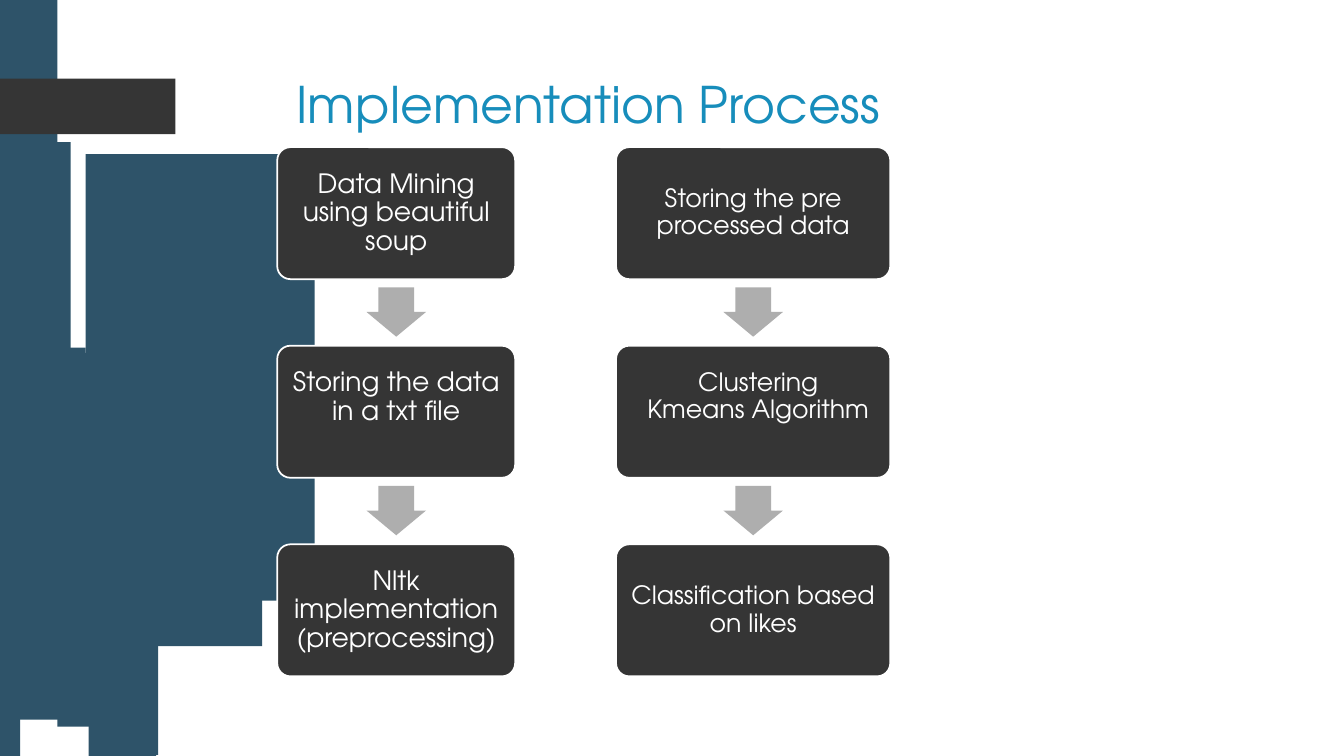
from pptx import Presentation
from pptx.dml.color import RGBColor
from pptx.enum.shapes import MSO_SHAPE
from pptx.enum.text import MSO_ANCHOR, PP_ALIGN
from pptx.util import Inches, Pt

FONT = "TeX Gyre Adventor"
BLUE, DARK, GREY, WHITE, TITLE = "2E5369", "353535", "AEAEAE", "FFFFFF", "178DBB"
TOP, STEP, HIGH = 1.46, 1.97, 1.31
ARROW_W, ARROW_H, ARROW_GAP = 0.59, 0.49, 0.09

BARS = [
    (0, 2.82, 0.11, 0.68), (0.14, 3.45, 0.71, 2.54), (0.88, 5.96, 0.67, 1.54),
    (1.05, 7.11, 0.19, 0.39), (0.11, 3.5, 0.9, 3.64), (0.85, 1.53, 2.27, 4.43),
    (1.01, 7.14, 0.18, 0.36), (0.93, 6.83, 0.26, 0.67), (0.03, 0, 0.54, 4.81),
    (0.6, 4.72, 0.46, 1.73), (1.1, 6.41, 0.47, 1.08), (0.57, 4.77, 0.6, 2.44),
    (0.51, 1.41, 0.19, 3.31), (1.22, 7.19, 0.15, 0.31), (0.55, 4.49, 0.09, 0.56),
    (1.06, 3.44, 1.54, 2.97), (1.17, 7.22, 0.13, 0.28), (1.06, 6.45, 0.15, 0.74),
    (1.06, 6.31, 0.04, 0.25), (1.1, 6.91, 0.23, 0.58), (0, 0, 0.2, 7.5),
]

# Each step: lines of text, extra bottom inset, extra left inset
FLOWS = [
    (2.75, 2.36, 19, 0.12, [
        (["Data Mining using beautiful soup"], 0, 0),
        (["Storing the data in a txt file"], 0.28, 0),
        (["Nltk implementation", "(preprocessing)"], 0, 0),
    ]),
    (6.11, 2.72, 18, 0.11, [
        (["Storing the pre processed data"], 0, 0),
        (["Clustering", "Kmeans Algorithm"], 0.3, 0.1),
        (["Classification based on likes"], 0, 0),
    ]),
]


def color(code):
    """Turn a hex string into a colour."""
    return RGBColor.from_string(code)


def add_form(slide, kind, area, fill):
    """Add a flat preset shape without outline."""
    form = slide.shapes.add_shape(kind, *map(Inches, area))
    form.shadow.inherit = False
    form.fill.solid()
    form.fill.fore_color.rgb = color(fill)
    form.line.fill.background()
    return form


def style(para, size, code):
    """Set the font of a paragraph."""
    para.font.name = FONT
    para.font.size = Pt(size)
    para.font.color.rgb = color(code)


def add_title(slide, text):
    """Place and format the title."""
    title = slide.shapes.title
    title.left, title.top = Inches(2.84), Inches(0.68)
    title.width, title.height = Inches(9.75), Inches(1.4)
    frame = title.text_frame
    frame.text = text
    frame.vertical_anchor = MSO_ANCHOR.TOP
    frame.paragraphs[0].alignment = PP_ALIGN.LEFT
    style(frame.paragraphs[0], 36, TITLE)


def add_step(slide, area, lines, size, inset, lift, shift):
    """Add a rounded box with centred text."""
    box = add_form(slide, MSO_SHAPE.ROUNDED_RECTANGLE, area, DARK)
    box.adjustments[0] = 0.1
    box.line.color.rgb = color(WHITE)
    box.line.width = Pt(1.25)
    frame = box.text_frame
    frame.word_wrap = True
    frame.vertical_anchor = MSO_ANCHOR.MIDDLE
    frame.margin_left, frame.margin_right = Inches(0.08 + shift), Inches(0.08)
    frame.margin_top, frame.margin_bottom = Inches(inset), Inches(inset + lift)
    frame.text = "\n".join(lines)
    for para in frame.paragraphs:
        para.alignment = PP_ALIGN.CENTER
        para.line_spacing = 0.9
        style(para, size, WHITE)


def add_arrow(slide, mid, top):
    """Add a block arrow pointing down, centred on mid."""
    area = (mid - ARROW_W / 2, top, ARROW_W, ARROW_H)
    arrow = add_form(slide, MSO_SHAPE.DOWN_ARROW, area, GREY)
    arrow.adjustments[0] = 0.6
    arrow.adjustments[1] = 0.5


def add_flow(slide, left, width, size, inset, steps):
    """Add a column of steps with arrows between them."""
    for row, (lines, lift, shift) in enumerate(steps):
        top = TOP + row * STEP
        if row:
            add_arrow(slide, left + width / 2, top - ARROW_GAP - ARROW_H)
        add_step(slide, (left, top, width, HIGH), lines, size, inset, lift, shift)


def main():
    """Build and save the slide."""
    deck = Presentation()
    deck.slide_width, deck.slide_height = Inches(13.33), Inches(7.5)
    slide = deck.slides.add_slide(deck.slide_layouts[5])
    for bar in BARS:
        add_form(slide, MSO_SHAPE.RECTANGLE, bar, BLUE)
    add_form(slide, MSO_SHAPE.RECTANGLE, (0, 0.78, 1.74, 0.55), DARK)
    add_title(slide, "Implementation Process")
    for flow in FLOWS:
        add_flow(slide, *flow)
    deck.save("out.pptx")


if __name__ == "__main__":
    main()
